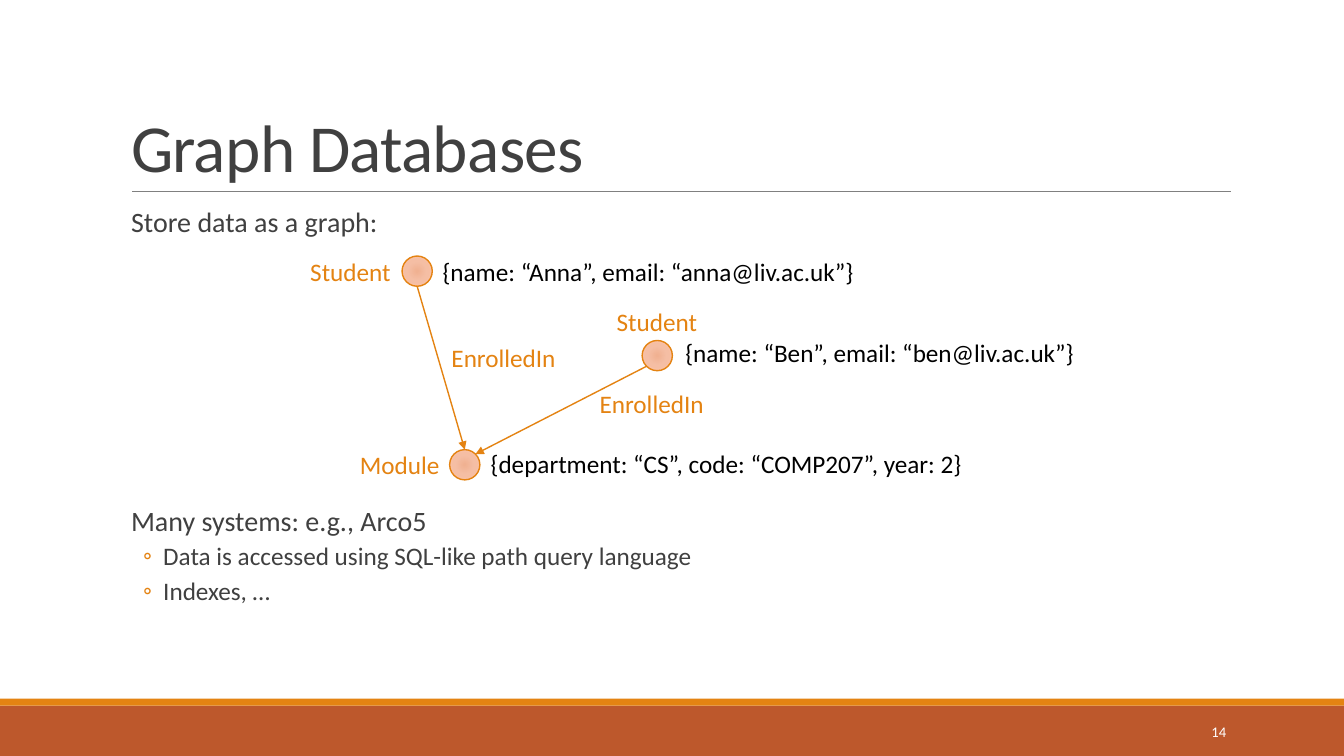
from math import cos, radians, sin

from lxml import etree
from pptx import Presentation
from pptx.dml.color import RGBColor
from pptx.enum.shapes import MSO_CONNECTOR as CONNECTOR, MSO_SHAPE as SHAPE
from pptx.enum.text import MSO_ANCHOR as ANCHOR, MSO_AUTO_SIZE as AUTO_SIZE, PP_ALIGN as ALIGN
from pptx.oxml.ns import qn
from pptx.util import Pt

ORANGE, RUST, INK = "E48312", "BD582C", "404040"
NODE_RADIUS = 10.8
NODES = {"Anna": (84, 14.7), "Module": (118, 153), "Ben": (255.5, 75)}
EDGES = [("Anna", 90, "Module", -90), ("Ben", 135, "Module", -45)]
LABELS = [
    ("Student", 0.5, 0.3, 72.7, ORANGE),
    ("{name: “Anna”, email: “anna@liv.ac.uk”}", 95, 0.3, 311, "000000"),
    ("Module", 36, 138.5, 72, ORANGE),
    ("{department: “CS”, code: “COMP207”, year: 2}", 129.4, 137.8, 355, "000000"),
    ("EnrolledIn", 101.4, 62.2, 90, ORANGE),
    ("EnrolledIn", 207.2, 94.6, 90, ORANGE),
    ("{name: “Ben”, email: “ben@liv.ac.uk”}", 268.4, 58.6, 295, "000000"),
    ("Student", 219.4, 36.3, 72.7, ORANGE),
]
POINTS = [
    ("Store data as a graph:", 0, 0),
    ("Many systems: e.g., Arco5", 0, 190),
    ("Data is accessed using SQL-like path query language", 1, 2),
    ("Indexes, …", 1, 2),
]


def rgb(hex_colour):
    """Return the colour for a hex string."""
    return RGBColor.from_string(hex_colour)


def add(parent, tag, **attributes):
    """Append a DrawingML element to parent and return it."""
    element = etree.SubElement(parent, qn("a:" + tag))
    for key, value in attributes.items():
        element.set(key, str(value))
    return element


def set_font(paragraph, size, colour):
    """Set the font of a whole paragraph."""
    font = paragraph.font
    font.name, font.size = "Calibri", Pt(size)
    font.color.rgb = rgb(colour)


def place(shape, left, top, width, height):
    """Move and size a shape in points."""
    shape.left, shape.top = Pt(left), Pt(top)
    shape.width, shape.height = Pt(width), Pt(height)


def draw_line(slide, start, end, colour, weight, arrow=False):
    """Draw a straight line, with an arrowhead at its end if asked."""
    line = slide.shapes.add_connector(CONNECTOR.STRAIGHT, *map(Pt, start + end))
    line.line.color.rgb = rgb(colour)
    line.line.width = Pt(weight)
    if arrow:
        add(line.line._get_or_add_ln(), "tailEnd", type="triangle")
    add(line._element.spPr, "effectLst")


def draw_text(slide, text, left, top, width, size, colour):
    """Draw a one-line text box and return it."""
    box = slide.shapes.add_textbox(Pt(left), Pt(top), Pt(width), Pt(29))
    frame = box.text_frame
    frame.word_wrap = False
    frame.auto_size = AUTO_SIZE.SHAPE_TO_FIT_TEXT
    frame.text = text
    set_font(frame.paragraphs[0], size, colour)
    return box


def draw_footer(slide, left, top, width, height):
    """Draw the two footer bands and the slide number."""
    for offset, depth, colour in ((5, height - 5, RUST), (0, 5, ORANGE)):
        band = slide.shapes.add_shape(SHAPE.RECTANGLE, Pt(left), Pt(top + offset), Pt(width), Pt(depth))
        band.shadow.inherit = False
        band.fill.solid()
        band.fill.fore_color.rgb = rgb(colour)
        band.line.fill.background()
    number = draw_text(slide, "14", left + 780, top + 9.3, 103, 10.5, "FFFFFF")
    frame = number.text_frame
    frame.auto_size = AUTO_SIZE.NONE
    frame.word_wrap = True
    frame.vertical_anchor = ANCHOR.MIDDLE
    frame.paragraphs[0].alignment = ALIGN.RIGHT


def draw_title(slide, left, top, width, height):
    """Fill the title and rule it off below."""
    title = slide.shapes.title
    place(title, left, top, width, height)
    frame = title.text_frame
    frame.text = "Graph Databases"
    frame.auto_size = AUTO_SIZE.NONE
    frame.vertical_anchor = ANCHOR.BOTTOM
    heading = frame.paragraphs[0]
    heading.alignment = ALIGN.LEFT
    heading.line_spacing = 0.85
    set_font(heading, 48, INK)
    heading.runs[0].font._element.set("spc", "-50")
    bottom = top + height
    draw_line(slide, (left + 8, bottom), (left + width + 1, bottom), "808080", 0.5)


def draw_points(slide, left, top, width, height):
    """Fill the body with points, leaving room for the graph."""
    body = slide.placeholders[1]
    place(body, left, top, width, height)
    frame = body.text_frame
    frame.auto_size = AUTO_SIZE.NONE
    frame.margin_left = frame.margin_right = 0
    frame.margin_top = frame.margin_bottom = Pt(3.6)
    for index, (text, level, space_before) in enumerate(POINTS):
        point = frame.paragraphs[0] if index == 0 else frame.add_paragraph()
        point.text = text
        point.level = level
        point.line_spacing = 0.9
        point.space_before = Pt(space_before)
        point.space_after = Pt(4 if level else 2)
        properties = point._p.get_or_add_pPr()
        properties.set("marL", str(Pt(30.2 if level else 7.2)))
        properties.set("indent", str(Pt(-14.4 if level else 0)))
        if level:
            add(add(properties, "buClr"), "srgbClr", val=ORANGE)
            add(properties, "buFont", typeface="Calibri")
            add(properties, "buChar", char="◦")
        else:
            add(properties, "buNone")
        set_font(point, 18 if level else 20, INK)


def draw_node(slide, x, y):
    """Draw a graph node with a radial gradient about its centre."""
    size = Pt(2 * NODE_RADIUS)
    node = slide.shapes.add_shape(SHAPE.OVAL, Pt(x - NODE_RADIUS), Pt(y - NODE_RADIUS), size, size)
    node.shadow.inherit = False
    node.line.color.rgb = rgb(ORANGE)
    node.line.width = Pt(1)
    node.fill.gradient()
    gradient = node._element.spPr.find(qn("a:gradFill"))
    for child in list(gradient):
        gradient.remove(child)
    stops = add(gradient, "gsLst")
    for position, colour in ((0, "F0B191"), (45, "F5BEA4"), (100, "FDC3A8")):
        add(add(stops, "gs", pos=position * 1000), "srgbClr", val=colour)
    radial = add(gradient, "path", path="circle")
    add(radial, "fillToRect", l=100000, t=100000, r=100000, b=100000)


def draw_graph(slide, left, top):
    """Draw the edges, nodes and labels of the example graph."""
    def rim(name, angle):
        """Return the point of a node's rim at an angle."""
        x, y = NODES[name]
        turn = radians(angle)
        return left + x + NODE_RADIUS * cos(turn), top + y + NODE_RADIUS * sin(turn)

    for source, source_angle, target, target_angle in EDGES:
        draw_line(slide, rim(source, source_angle), rim(target, target_angle), ORANGE, 1, arrow=True)
    for x, y in NODES.values():
        draw_node(slide, left + x, top + y)
    for text, x, y, width, colour in LABELS:
        draw_text(slide, text, left + x, top + y, width, 18, colour)


def main():
    """Build the slide and save it."""
    deck = Presentation()
    deck.slide_width, deck.slide_height = Pt(960), Pt(540)
    slide = deck.slides.add_slide(deck.slide_layouts[1])
    draw_footer(slide, 0, 499, 960, 41)
    draw_title(slide, 86.4, 22.5, 792, 114.3)
    draw_points(slide, 86.4, 145.4, 792, 316.8)
    draw_graph(slide, 214, 179)
    deck.save("out.pptx")


if __name__ == "__main__":
    main()
